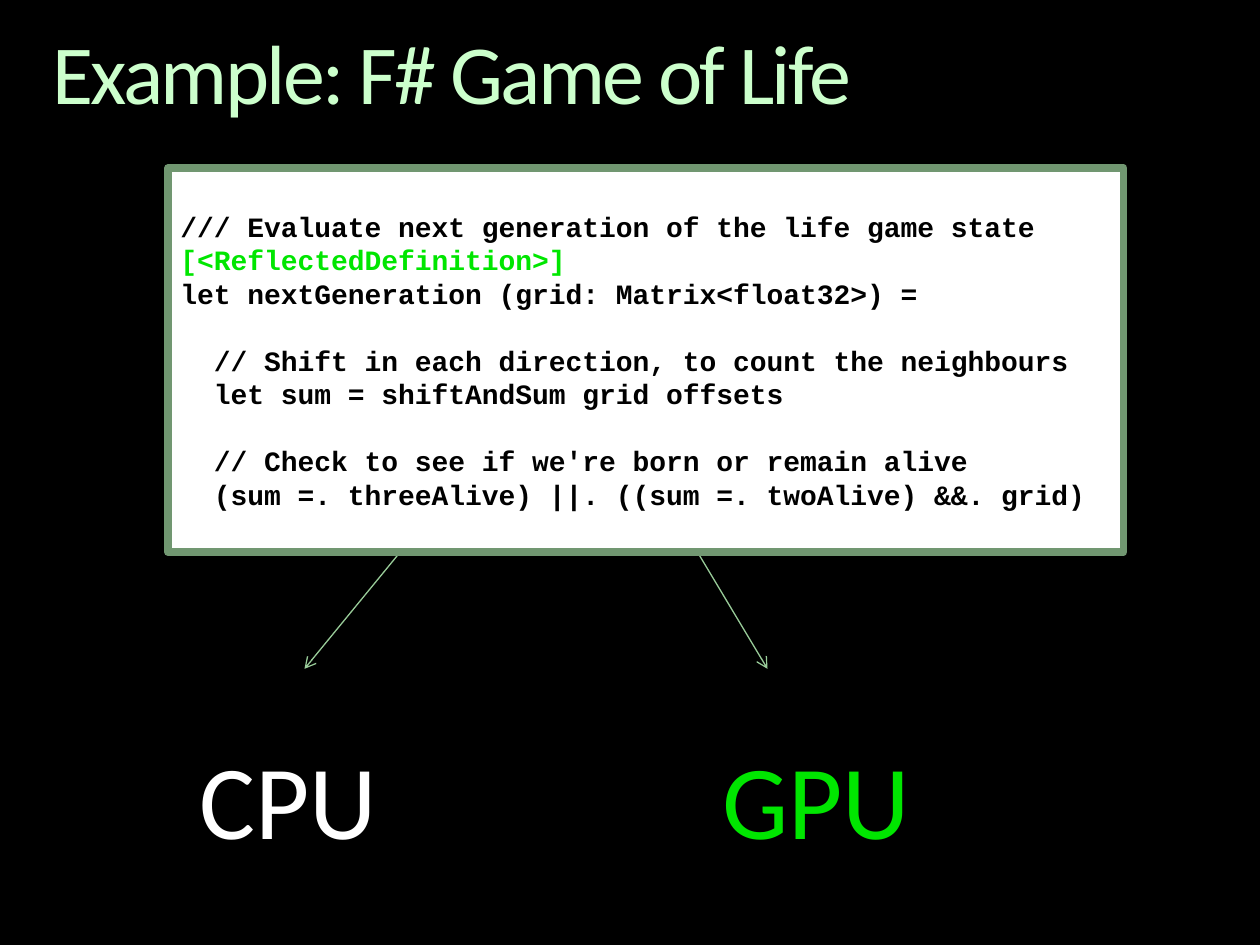
from lxml import etree
from pptx import Presentation
from pptx.dml.color import RGBColor
from pptx.enum.shapes import MSO_CONNECTOR as Connector, MSO_SHAPE as Shape
from pptx.enum.text import MSO_ANCHOR as Anchor, MSO_AUTO_SIZE as AutoSize, PP_ALIGN as Align
from pptx.oxml.ns import qn
from pptx.util import Inches, Pt

COLUMNS, ROWS = 120, 90
BLACK, WHITE, GREEN = "000000", "FFFFFF", "00E600"
MINT, SAGE, MOSS = "CCFFCC", "99CC99", "719771"
SANS, MONO = "Calibri", "Courier New"
CODE_LINE = 19


def color(hex_string):
    return RGBColor.from_string(hex_string)


class SlideBuilder:
    """Holds the grid, the style and the current slide."""

    def __init__(self, deck, background):
        self.column = deck.slide_width / COLUMNS
        self.row = deck.slide_height / ROWS
        self.slide = deck.slides.add_slide(deck.slide_layouts[6])
        fill = self.slide.background.fill
        fill.solid()
        fill.fore_color.rgb = color(background)

    def place(self, *cells):
        """Turn alternating columns and rows into lengths."""
        return [round(cell * (self.row if i % 2 else self.column))
                for i, cell in enumerate(cells)]

    def style(self, paragraph, font_name, size, hex_string, bold=None):
        font = paragraph.font
        font.name, font.size, font.bold = font_name, Pt(size), bold
        font.color.rgb = color(hex_string)

    def label(self, text, cells, size, hex_string, wrap=False):
        frame = self.slide.shapes.add_textbox(*self.place(*cells)).text_frame
        frame.word_wrap = wrap
        frame.auto_size = AutoSize.SHAPE_TO_FIT_TEXT
        paragraph = frame.paragraphs[0]
        paragraph.text = text
        self.style(paragraph, SANS, size, hex_string)
        return frame

    def title(self, text, cells):
        frame = self.label(text, cells, 48, MINT, wrap=True)
        frame.margin_left = frame.margin_right = 0
        frame.margin_top = frame.margin_bottom = 0
        paragraph = frame.paragraphs[0]
        paragraph.line_spacing = 0.9
        # Tighten the letters by 1.5 points
        paragraph.runs[0].font._element.set("spc", "-150")

    def arrow(self, *ends):
        link = self.slide.shapes.add_connector(Connector.STRAIGHT, *self.place(*ends))
        link.line.color.rgb = color(SAGE)
        link.line.width = Pt(0.75)
        etree.SubElement(link.line._get_or_add_ln(), qn("a:tailEnd"), type="arrow")
        etree.SubElement(link._element.spPr, qn("a:effectLst"))

    def code(self, blocks, cells):
        """Draw blocks of (line, colour) pairs, one empty line apart."""
        panel = self.slide.shapes.add_shape(Shape.RECTANGLE, *self.place(*cells))
        panel.shadow.inherit = False
        panel.fill.solid()
        panel.fill.fore_color.rgb = color(WHITE)
        panel.line.color.rgb = color(MOSS)
        panel.line.width = Pt(4.33)
        frame = panel.text_frame
        frame.word_wrap = True
        frame.vertical_anchor = Anchor.MIDDLE
        for block_index, block in enumerate(blocks):
            for line_index, (text, hex_string) in enumerate(block):
                first = block_index == line_index == 0
                paragraph = frame.paragraphs[0] if first else frame.add_paragraph()
                paragraph.text = text
                paragraph.alignment = Align.LEFT
                if block_index and not line_index:
                    paragraph.space_before = Pt(CODE_LINE)
                self.style(paragraph, MONO, 16, hex_string, bold=True)


def main():
    deck = Presentation()
    deck.slide_width, deck.slide_height = Inches(10), Inches(7.5)
    page = SlideBuilder(deck, BLACK)

    page.title("Example: F# Game of Life", (5, 3, 110, 8.8))

    # Arrows from the code to its two targets
    page.arrow(41.3, 48.7, 29, 63.7)
    page.arrow(64.7, 49.7, 73.1, 63.7)

    # Targets
    page.label("GPU", (67.6, 69.4, 20.5, 13.3), 60, GREEN)
    page.label("CPU", (17.8, 69.4, 19.5, 13.3), 60, WHITE)

    # Code panel, over the arrows' starts
    page.code([
        [("/// Evaluate next generation of the life game state", BLACK),
         ("[<ReflectedDefinition>]", GREEN),
         ("let nextGeneration (grid: Matrix<float32>) =", BLACK)],
        [("  // Shift in each direction, to count the neighbours", BLACK),
         ("  let sum = shiftAndSum grid offsets", BLACK)],
        [("  // Check to see if we're born or remain alive", BLACK),
         ("  (sum =. threeAlive) ||. ((sum =. twoAlive) &&. grid)", BLACK)],
    ], (16, 16, 91, 36.6))

    deck.save("out.pptx")


if __name__ == "__main__":
    main()
